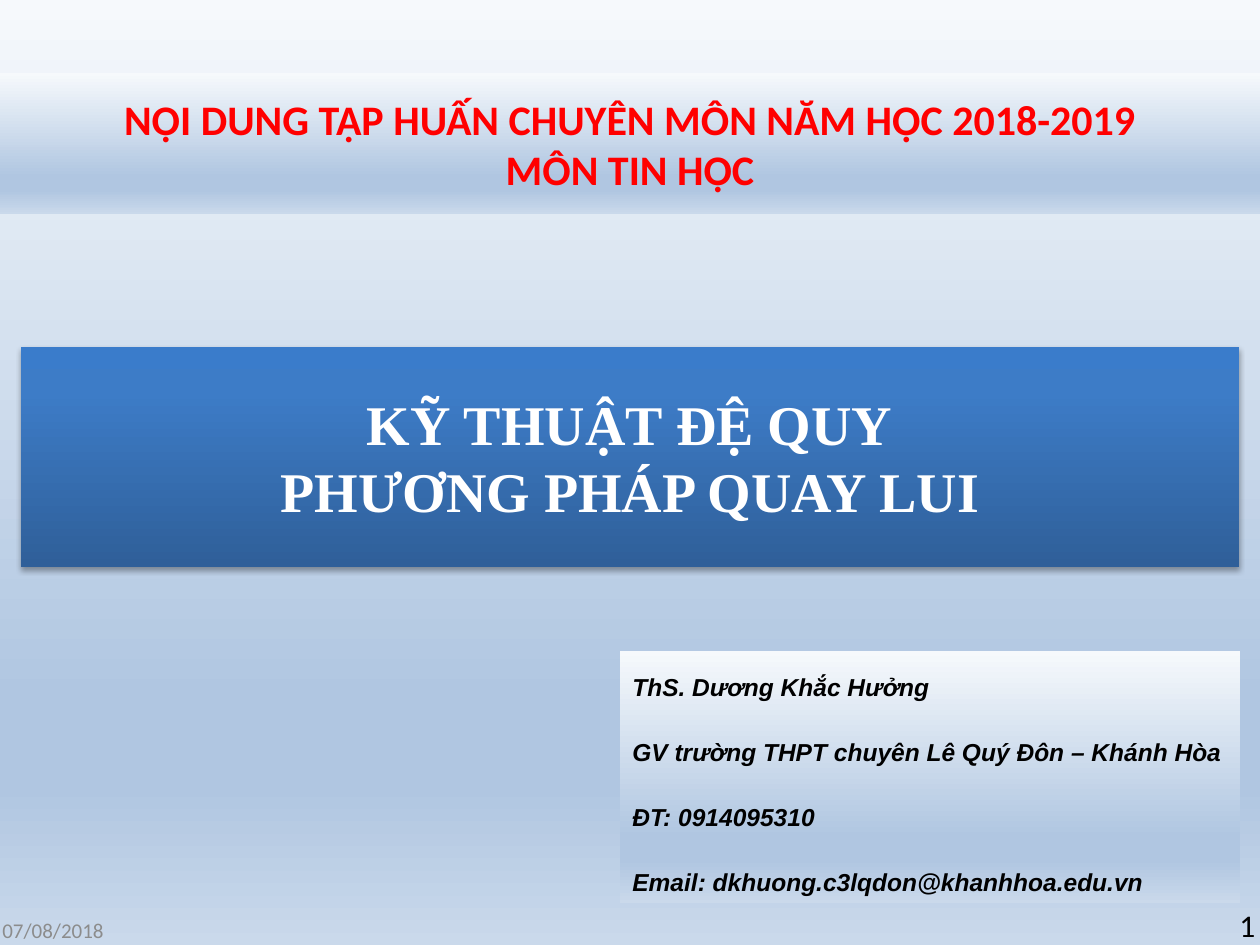
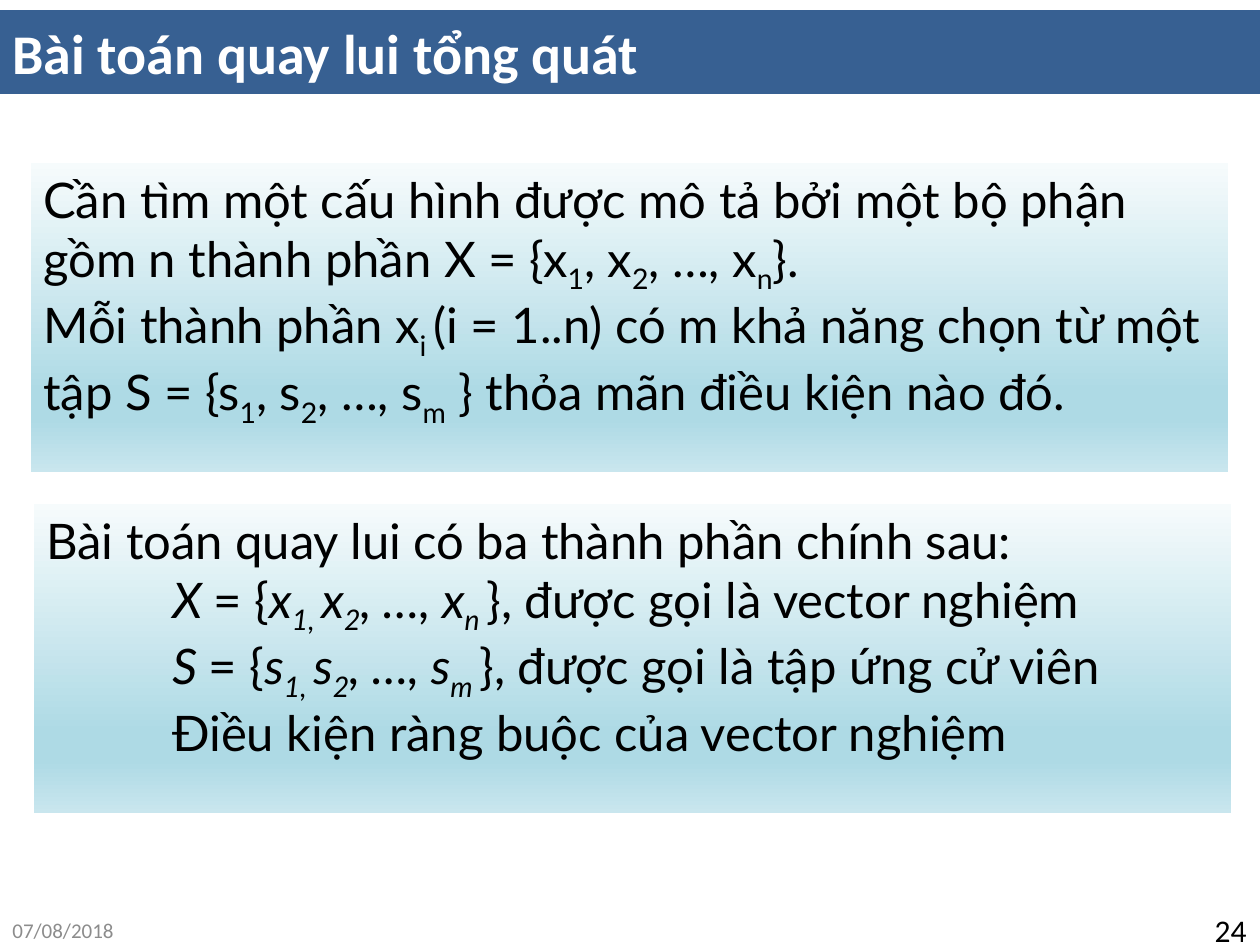
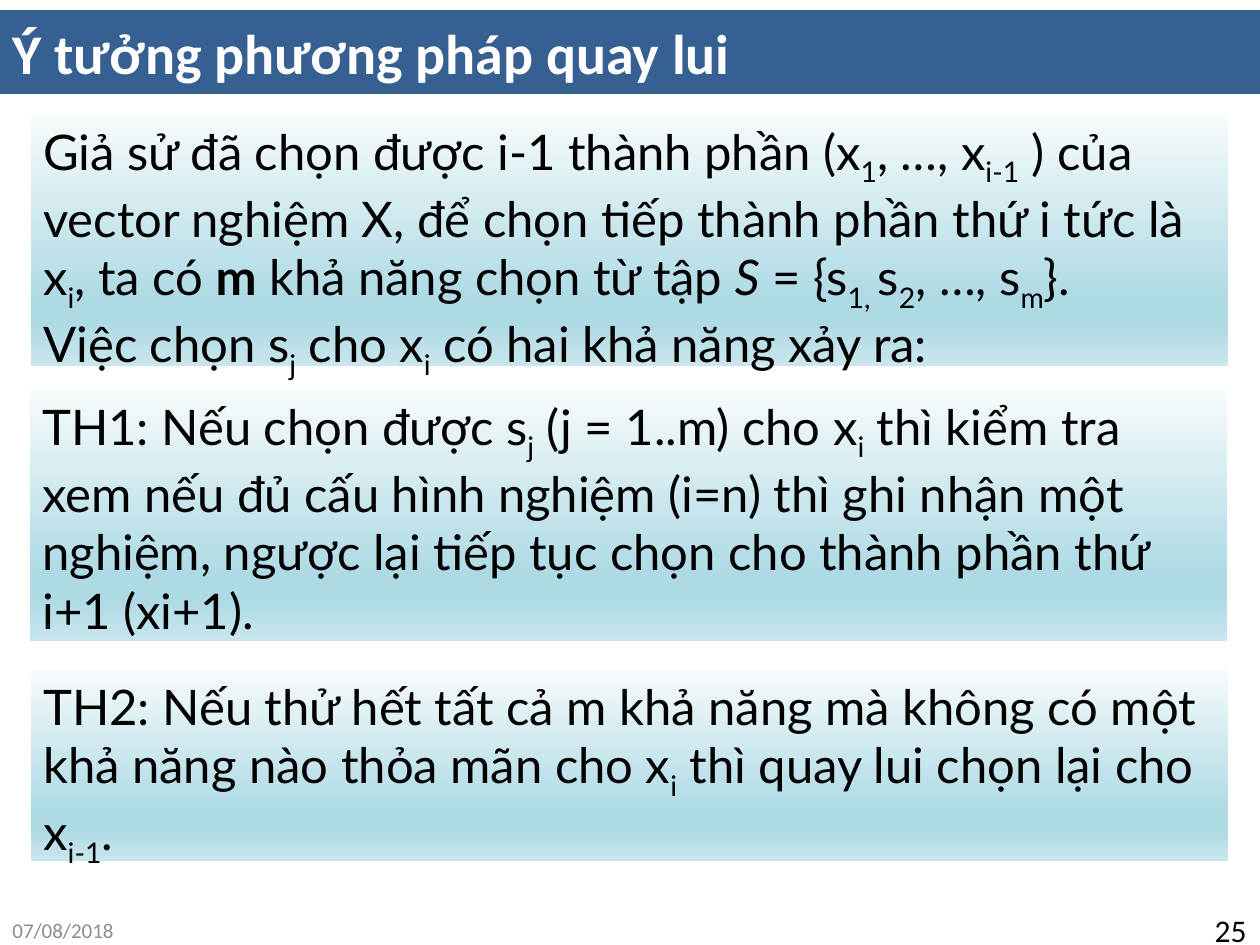
from dataclasses import dataclass
from typing import NamedTuple

from lxml.etree import SubElement
from pptx import Presentation
from pptx.dml.color import RGBColor
from pptx.enum.shapes import MSO_SHAPE
from pptx.enum.text import MSO_ANCHOR, MSO_AUTO_SIZE, PP_ALIGN
from pptx.oxml.ns import qn
from pptx.util import Emu, Pt

PIXEL = 914400 // 126
PAGE_WIDTH, PAGE_HEIGHT = 1260, 945

BLACK = RGBColor(0x00, 0x00, 0x00)
WHITE = RGBColor(0xFF, 0xFF, 0xFF)
RED = RGBColor(0xFF, 0x00, 0x00)
GREY = RGBColor(0x8C, 0x8C, 0x8C)
NAVY = RGBColor(0x37, 0x60, 0x92)
ICE = RGBColor(0xF6, 0xF9, 0xFC)
STEEL = RGBColor(0xB0, 0xC6, 0xE1)
MIST = RGBColor(0xCA, 0xD9, 0xEB)
FOAM = RGBColor(0xF6, 0xFB, 0xFC)
AQUA = RGBColor(0xAE, 0xDA, 0xE5)
PALE_AQUA = RGBColor(0xC9, 0xE6, 0xEE)
DEEP_BLUE = RGBColor(0x2F, 0x5F, 0x99)
MID_BLUE = RGBColor(0x3D, 0x7C, 0xC7)
BRIGHT_BLUE = RGBColor(0x3A, 0x7C, 0xCB)

DOWNWARD, UPWARD = 270, 90
SUBSCRIPT_MARK, ITALIC_MARK, BOLD_MARK = "_", "*", "#"
DATE = "07/08/2018"


class Area(NamedTuple):
    left: int
    top: int
    width: int
    height: int


class Gradient(NamedTuple):
    stops: tuple
    angle: int


@dataclass(frozen=True)
class Style:
    font: str
    size: int
    color: RGBColor
    bold: bool = False
    italic: bool = False
    align: PP_ALIGN = PP_ALIGN.LEFT
    anchor: MSO_ANCHOR = MSO_ANCHOR.MIDDLE
    line_spacing: float = 1.0
    space: int = 0


@dataclass(frozen=True)
class Panel:
    area: Area
    lines: tuple
    indent: int = 0


@dataclass(frozen=True)
class Lesson:
    title: str
    number: str
    panels: tuple


BLUE_MIST = Gradient(((0, ICE), (74, STEEL), (83, STEEL), (100, MIST)), DOWNWARD)
AQUA_MIST = Gradient(((0, FOAM), (74, AQUA), (83, AQUA), (100, PALE_AQUA)), DOWNWARD)
COVER_BLUE = Gradient(((0, DEEP_BLUE), (80, MID_BLUE), (100, BRIGHT_BLUE)), UPWARD)

COVER_TITLE = Style("Times New Roman", 32, WHITE, bold=True, align=PP_ALIGN.CENTER)
COVER_BANNER = Style("Calibri", 24, RED, bold=True, align=PP_ALIGN.CENTER)
AUTHOR = Style("Arial", 14, BLACK, bold=True, italic=True,
               anchor=MSO_ANCHOR.TOP, line_spacing=1.5, space=6)
LESSON_TITLE = Style("Calibri", 32, WHITE, bold=True)
BODY = Style("Lato", 28, BLACK, anchor=MSO_ANCHOR.TOP)
DATE_STYLE = Style("Calibri", 12, GREY)
NUMBER_STYLE = Style("Calibri", 18, BLACK, align=PP_ALIGN.RIGHT)

TITLE_BAND = Area(0, 10, PAGE_WIDTH, 84)
DATE_AREA = Area(0, 905, 294, 50)
NUMBER_AREA = Area(1197, 905, 62, 50)


def to_emu(area: Area) -> list:
    return [Emu(length * PIXEL) for length in area]


def paint(owner, element, gradient: Gradient) -> None:
    owner.fill.gradient()
    owner.fill.gradient_angle = gradient.angle
    stop_list = element.find(".//" + qn("a:gsLst"))
    for stop in list(stop_list):
        stop_list.remove(stop)
    for position, color in gradient.stops:
        stop = SubElement(stop_list, qn("a:gs"), pos=str(position * 1000))
        SubElement(stop, qn("a:srgbClr"), val=str(color))


def add_soft_shadow(shape) -> None:
    effects = SubElement(shape._element.spPr, qn("a:effectLst"))
    shadow = SubElement(effects, qn("a:outerShdw"), blurRad=str(Pt(3.1)),
                        dist=str(Pt(1.8)), dir="5400000", rotWithShape="0")
    color = SubElement(shadow, qn("a:srgbClr"), val=str(BLACK))
    SubElement(color, qn("a:alpha"), val="35000")


def add_spans(para, marked: str) -> None:
    active = {SUBSCRIPT_MARK: False, ITALIC_MARK: False, BOLD_MARK: False}
    pending = ""

    def flush() -> None:
        if not pending:
            return
        span = para.add_run()
        span.text = pending
        if active[ITALIC_MARK]:
            span.font.italic = True
        if active[BOLD_MARK]:
            span.font.bold = True
        if active[SUBSCRIPT_MARK]:
            span.font._element.set("baseline", "-25000")

    for character in marked:
        if character in active:
            flush()
            pending = ""
            active[character] = not active[character]
        elif character == "\v":
            flush()
            pending = ""
            para.add_line_break()
        else:
            pending += character
    flush()


def write(shape, lines: tuple, style: Style, indent: int = 0) -> None:
    frame = shape.text_frame
    frame.word_wrap = True
    frame.auto_size = MSO_AUTO_SIZE.NONE
    frame.vertical_anchor = style.anchor
    for index, line in enumerate(lines):
        para = frame.add_paragraph() if index else frame.paragraphs[0]
        para.alignment = style.align
        para.line_spacing = style.line_spacing
        para.space_before = para.space_after = Pt(style.space)
        para.font.name = style.font
        para.font.size = Pt(style.size)
        para.font.color.rgb = style.color
        para.font.bold = style.bold
        para.font.italic = style.italic
        if index and indent:
            para._p.get_or_add_pPr().set("marL", str(indent * PIXEL))
        add_spans(para, line)


def add_text(page, area: Area, text: str, style: Style) -> None:
    write(page.shapes.add_textbox(*to_emu(area)), (text,), style)


def add_panel(page, panel: Panel, gradient: Gradient, style: Style) -> None:
    box = page.shapes.add_shape(MSO_SHAPE.RECTANGLE, *to_emu(panel.area))
    box.shadow.inherit = False
    box.line.fill.background()
    paint(box, box._element.spPr, gradient)
    write(box, panel.lines, style, panel.indent)


def place_title(page, area: Area, text: str, style: Style):
    title = page.shapes.title
    title.left, title.top, title.width, title.height = to_emu(area)
    write(title, (text,), style)
    return title


def add_footer(page, number: str, date_area: Area = DATE_AREA,
               number_area: Area = NUMBER_AREA) -> None:
    add_text(page, date_area, DATE, DATE_STYLE)
    add_text(page, number_area, number, NUMBER_STYLE)


def add_page(deck):
    return deck.slides.add_slide(deck.slide_layouts.get_by_name("Title Only"))


def add_cover(deck) -> None:
    page = add_page(deck)
    paint(page.background, page._element, BLUE_MIST)
    title = place_title(page, Area(21, 347, 1218, 220),
                        "KỸ THUẬT ĐỆ QUY\vPHƯƠNG PHÁP QUAY LUI", COVER_TITLE)
    paint(title, title._element.spPr, COVER_BLUE)
    add_soft_shadow(title)
    author = Panel(Area(620, 651, 620, 252), (
        "ThS. Dương Khắc Hưởng",
        "GV trường THPT chuyên Lê Quý Đôn – Khánh Hòa",
        "ĐT: 0914095310",
        "Email: dkhuong.c3lqdon@khanhhoa.edu.vn",
    ))
    add_panel(page, author, BLUE_MIST, AUTHOR)
    add_footer(page, "1", Area(-10, 905, 294, 50), Area(1227, 900, 33, 50))
    banner = Panel(Area(0, 73, PAGE_WIDTH, 141), (
        "NỘI DUNG TẬP HUẤN CHUYÊN MÔN NĂM HỌC 2018-2019",
        "MÔN TIN HỌC",
    ))
    add_panel(page, banner, BLUE_MIST, COVER_BANNER)


def add_lesson(deck, lesson: Lesson) -> None:
    page = add_page(deck)
    title = place_title(page, TITLE_BAND, lesson.title, LESSON_TITLE)
    title.fill.solid()
    title.fill.fore_color.rgb = NAVY
    add_footer(page, lesson.number)
    for panel in lesson.panels:
        add_panel(page, panel, AQUA_MIST, BODY)


LESSONS = (
    Lesson("Bài toán quay lui tổng quát", "24", (
        Panel(Area(31, 163, 1197, 309), (
            "Cần tìm một cấu hình được mô tả bởi một bộ phận gồm n thành phần "
            "X = {x_1_, x_2_, …, x_n_}. ",
            "Mỗi thành phần x_i _(i = 1..n) có m khả năng chọn từ một tập "
            "S = {s_1_, s_2_, …, s_m_ } thỏa mãn điều kiện nào đó.",
        )),
        Panel(Area(34, 504, 1197, 309), (
            "Bài toán quay lui có ba thành phần chính sau:",
            "*X *= {*x_1, _x_2_, …, x_n _*}, được gọi là vector nghiệm",
            "*S *= {*s_1, _s_2_, …, s_m _*}, được gọi là tập ứng cử viên",
            "Điều kiện ràng buộc của vector nghiệm",
        ), indent=126),
    )),
    Lesson("Ý tưởng phương pháp quay lui", "25", (
        Panel(Area(31, 115, 1197, 251), (
            "Giả sử đã chọn được i-1 thành phần (x_1_, …, x_i-1_ ) của vector "
            "nghiệm X, để chọn tiếp thành phần thứ i tức là x_i_, ta có #m# khả "
            "năng chọn từ tập *S* = {s_1, _s_2_, …, s_m_}. ",
            "Việc chọn s_j_ cho x_i_ có hai khả năng xảy ra:",
        )),
        Panel(Area(30, 390, 1197, 251), (
            "TH1: Nếu chọn được s_j_ (j = 1..m) cho x_i_ thì kiểm tra xem nếu đủ "
            "cấu hình nghiệm (i=n) thì ghi nhận một nghiệm, ngược lại tiếp tục "
            "chọn cho thành phần thứ i+1 (xi+1).",
        )),
        Panel(Area(31, 670, 1197, 191), (
            "TH2: Nếu thử hết tất cả m khả năng mà không có một khả năng nào thỏa "
            "mãn cho x_i_ thì quay lui chọn lại cho x_i-1_.",
        )),
    )),
)


def main() -> None:
    deck = Presentation()
    deck.slide_width = Emu(PAGE_WIDTH * PIXEL)
    deck.slide_height = Emu(PAGE_HEIGHT * PIXEL)
    add_cover(deck)
    for lesson in LESSONS:
        add_lesson(deck, lesson)
    deck.save("out.pptx")


main()
